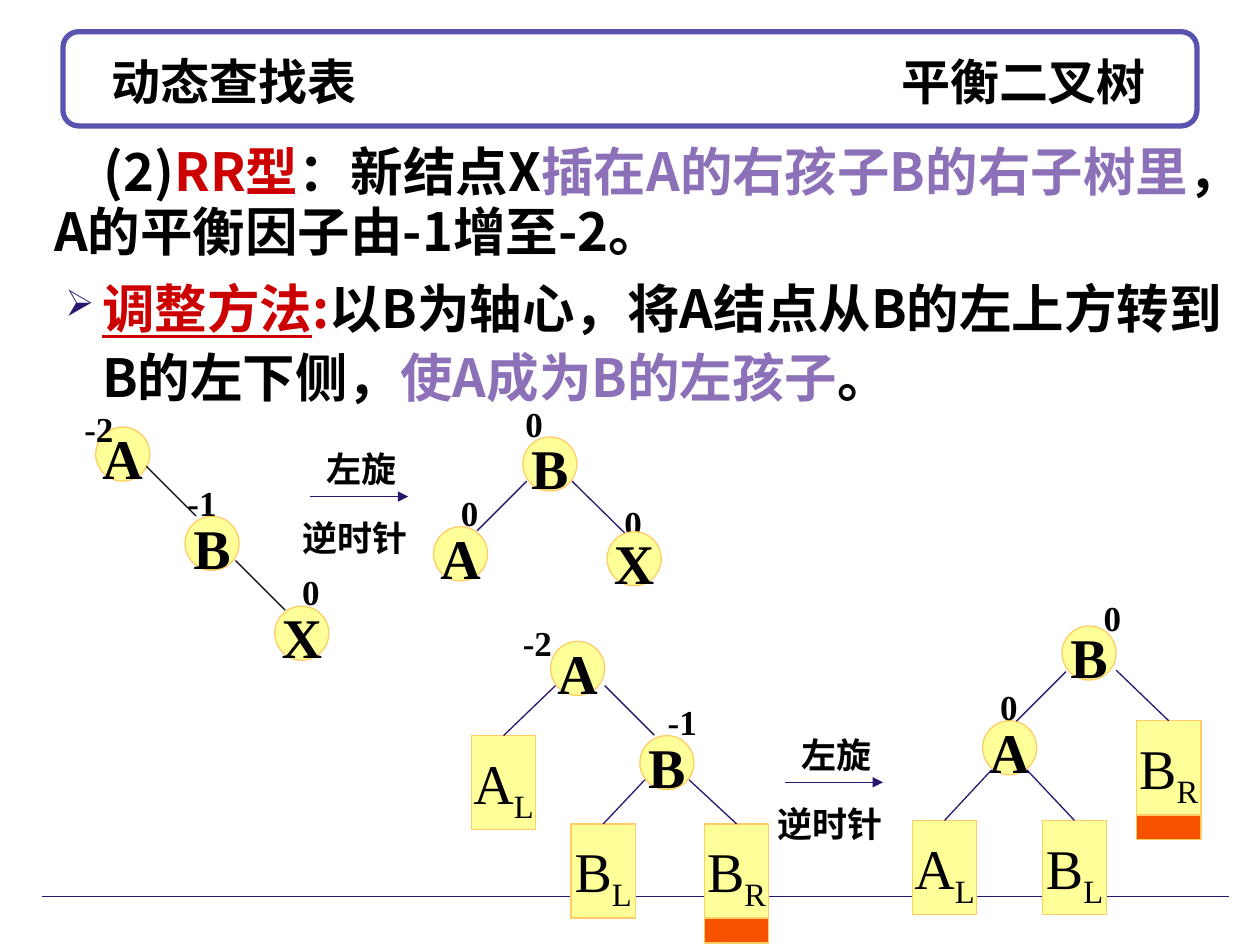
from dataclasses import dataclass

from lxml import etree
from pptx import Presentation
from pptx.dml.color import RGBColor
from pptx.enum.shapes import MSO_CONNECTOR, MSO_SHAPE
from pptx.enum.text import MSO_ANCHOR, PP_ALIGN
from pptx.oxml.ns import qn
from pptx.util import Cm, Pt

INK = RGBColor(0x01, 0x01, 0x03)
BLACK = RGBColor(0, 0, 0)
WHITE = RGBColor(0xFF, 0xFF, 0xFF)
RED = RGBColor(0xCC, 0, 0)
MAUVE = RGBColor(0x8C, 0x71, 0xB9)
NAVY = RGBColor(0x2B, 0x16, 0x6E)
FRAME = RGBColor(0x59, 0x52, 0xAE)
CREAM = RGBColor(0xFF, 0xFF, 0x99)
GOLD = RGBColor(0xFF, 0xCC, 0x66)
ORANGE = RGBColor(0xF6, 0x52, 0)

OVAL, RECT, ROUND = MSO_SHAPE.OVAL, MSO_SHAPE.RECTANGLE, MSO_SHAPE.ROUNDED_RECTANGLE
STRAIGHT = MSO_CONNECTOR.STRAIGHT
LEFT, CENTER = PP_ALIGN.LEFT, PP_ALIGN.CENTER
TOP, MIDDLE = MSO_ANCHOR.TOP, MSO_ANCHOR.MIDDLE
SERIF, SANS, CJK = "Times New Roman", "Lato", "Noto Sans CJK SC"

NODE = 1.09
BOX_W, BOX_H, STRIP_H = 1.3, 1.9, 0.5


@dataclass
class Span:
    text: str
    color: RGBColor = INK
    under: bool = False
    sub: bool = False


@dataclass
class Node:
    text: str
    x: float
    y: float


@dataclass
class Tag:
    """Balance factor beside a node."""
    text: str
    x: float
    y: float


@dataclass
class Box:
    """Subtree; a new leaf shows as a strip under it."""
    text: str
    x: float
    y: float
    grown: bool = False


@dataclass
class Edge:
    x: float
    y: float
    dx: float = 1
    dy: float = 1
    box: str = ""
    color: RGBColor = NAVY


TREES = [
    [Node("B", 10.54, 8.81), Node("A", 8.74, 10.62), Edge(10.62, 9.7, -1),
     Tag("0", 9.04, 9.7), Tag("0", 10.34, 7.9), Tag("0", 12.34, 9.91),
     Edge(11.53, 9.7, 1.12, 1.1), Node("X", 12.24, 10.72)],
    [Node("B", 21.41, 12.62), Node("A", 19.81, 14.53),
     Tag("0", 22, 11.81), Tag("0", 19.91, 13.61),
     Box("AL", 18.39, 16.54), Box("BL", 21.01, 16.54), Box("BR", 22.91, 14.53, True),
     Edge(21.49, 13.54, -1), Edge(19.99, 15.52, box="AL"),
     Edge(22.5, 13.51, box="BR"), Edge(20.7, 15.52, box="BL")],
    [Node("A", 1.93, 8.61), Node("B", 3.73, 10.41), Node("X", 5.54, 12.22),
     Tag("0", 5.84, 11.3), Tag("-1", 3.53, 9.5), Tag("-2", 1.45, 8),
     Edge(2.95, 9.4, color=BLACK), Edge(4.75, 11.3, color=BLACK)],
    [Node("A", 11.1, 12.93), Node("B", 12.9, 14.83),
     Tag("-1", 13.21, 13.92), Tag("-2", 10.29, 12.32),
     Box("AL", 9.5, 14.83), Box("BL", 11.51, 16.61), Box("BR", 14.2, 16.61, True),
     Edge(11.2, 13.82, box="AL"), Edge(13, 15.72, box="BL"),
     Edge(12.19, 13.82), Edge(13.89, 15.72, box="BR")],
]
TURNS = [(6.25, 10.01), (15.82, 15.77)]


def write(shape, spans: list[Span], size: float, font: str, bold=True,
          align=LEFT, anchor=TOP, wrap=True, space=1.1):
    frame = shape.text_frame
    frame.word_wrap = wrap
    frame.vertical_anchor = anchor
    para = frame.paragraphs[0]
    para.alignment = align
    para.line_spacing = space
    for span in spans:
        run = para.add_run()
        run.text = span.text
        face = run.font
        face.name, face.size, face.bold = font, Pt(size), bold
        face.color.rgb = span.color
        if span.under:
            face.underline = True
        props = run._r.get_or_add_rPr()
        if span.sub:
            props.set("baseline", "-25000")
        props.find(qn("a:latin")).addnext(
            etree.Element(qn("a:ea"), typeface=CJK))
    return para


def label(shapes, x: float, y: float, w: float, h: float, spans: list[Span],
          size: float, font: str, **style):
    area = shapes.add_textbox(Cm(x), Cm(y), Cm(w), Cm(h))
    return write(area, spans, size, font, **style)


def solid(shapes, kind, x: float, y: float, w: float, h: float,
          fill=CREAM, edge=GOLD, width=0.75):
    shape = shapes.add_shape(kind, Cm(x), Cm(y), Cm(w), Cm(h))
    shape.shadow.inherit = False
    shape.fill.solid()
    shape.fill.fore_color.rgb = fill
    shape.line.color.rgb = edge
    shape.line.width = Pt(width)
    return shape


def rule(shapes, x: float, y: float, dx: float, dy: float, color=NAVY, arrow=False):
    line = shapes.add_connector(STRAIGHT, Cm(x), Cm(y), Cm(x + dx), Cm(y + dy))
    line.line.color.rgb = color
    line.line.width = Pt(0.75)
    if arrow:
        etree.SubElement(line.line._get_or_add_ln(), qn("a:tailEnd"), type="triangle")
    etree.SubElement(line._element.spPr, qn("a:effectLst"))
    return line


def tree(shapes, parts: list):
    boxes = {}
    for part in parts:
        x, y = part.x, part.y
        if isinstance(part, Node):
            oval = solid(shapes, OVAL, x, y, NODE, NODE)
            write(oval, [Span(part.text)], 32, SERIF,
                  align=CENTER, anchor=MIDDLE, wrap=False)
        elif isinstance(part, Tag):
            width = 0.9 if len(part.text) == 1 else 1.3
            label(shapes, x, y, width, 1.2, [Span(part.text)], 20, SERIF)
        elif isinstance(part, Box):
            if part.grown:
                solid(shapes, RECT, x, y + BOX_H, BOX_W, STRIP_H, ORANGE)
            box = boxes[part.text] = solid(shapes, RECT, x, y, BOX_W, BOX_H)
            root, side = part.text
            write(box, [Span(root), Span(side, sub=True)], 32, SERIF, bold=False,
                  align=CENTER, anchor=MIDDLE, wrap=False)
        else:
            line = rule(shapes, x, y, part.dx, part.dy, part.color)
            if part.box:
                line.end_connect(boxes[part.box], 0)


def turn(shapes, x: float, y: float):
    """Left rotation arrow with its two captions."""
    rule(shapes, x, y, 1.98, 0, arrow=True)
    label(shapes, x + 0.08, y - 1.2, 2.01, 1.2, [Span("左旋")], 20, SANS)
    label(shapes, x - 0.4, y + 0.2, 3, 1.2, [Span("逆时针")], 20, SANS)


def head(shapes):
    solid(shapes, ROUND, 1.27, 0.64, 22.86, 1.9, WHITE, FRAME, 3)
    para = label(shapes, 2, 0.84, 22, 1.57, [Span("动态查找表\t平衡二叉树")],
                 28, SERIF, anchor=MIDDLE, space=1)
    props = para._p.get_or_add_pPr()
    tabs = etree.SubElement(props, qn("a:tabLst"))
    etree.SubElement(tabs, qn("a:tab"), pos=str(Cm(20.85)), algn="r")


def prose(shapes):
    case = label(shapes, 0.84, 2.77, 24.13, 2.67, [
        Span("(2)"), Span("RR型", RED), Span("：新结点X"),
        Span("插在A的右孩子B的右子树里", MAUVE),
        Span("，A的平衡因子由-1增至-2。")], 30, CJK, space=0.95)
    case._p.get_or_add_pPr().set("indent", str(Cm(1)))

    method = label(shapes, 1.07, 5.31, 23.93, 3.05, [
        Span("调整方法", RED, under=True), Span(":", RED),
        Span("以B为轴心，将A结点从B的左上方转到B的左下侧，"),
        Span("使A成为B的左孩子", MAUVE), Span("。")], 30, CJK)
    props = method._p.get_or_add_pPr()
    props.set("marL", str(Cm(0.74)))
    props.set("indent", str(Cm(-0.74)))
    color = etree.SubElement(props, qn("a:buClr"))
    etree.SubElement(color, qn("a:srgbClr"), val=str(NAVY))
    etree.SubElement(props, qn("a:buSzPct"), val="70000")
    etree.SubElement(props, qn("a:buChar"), char="➢")


def main():
    deck = Presentation()
    deck.slide_width, deck.slide_height = Cm(25.4), Cm(19.05)
    shapes = deck.slides.add_slide(deck.slide_layouts[6]).shapes
    head(shapes)
    rule(shapes, 0.84, 18.08, 23.93, 0)
    prose(shapes)
    for parts in TREES:
        tree(shapes.add_group_shape().shapes, parts)
    for x, y in TURNS:
        turn(shapes.add_group_shape().shapes, x, y)
    deck.save("out.pptx")


if __name__ == "__main__":
    main()
